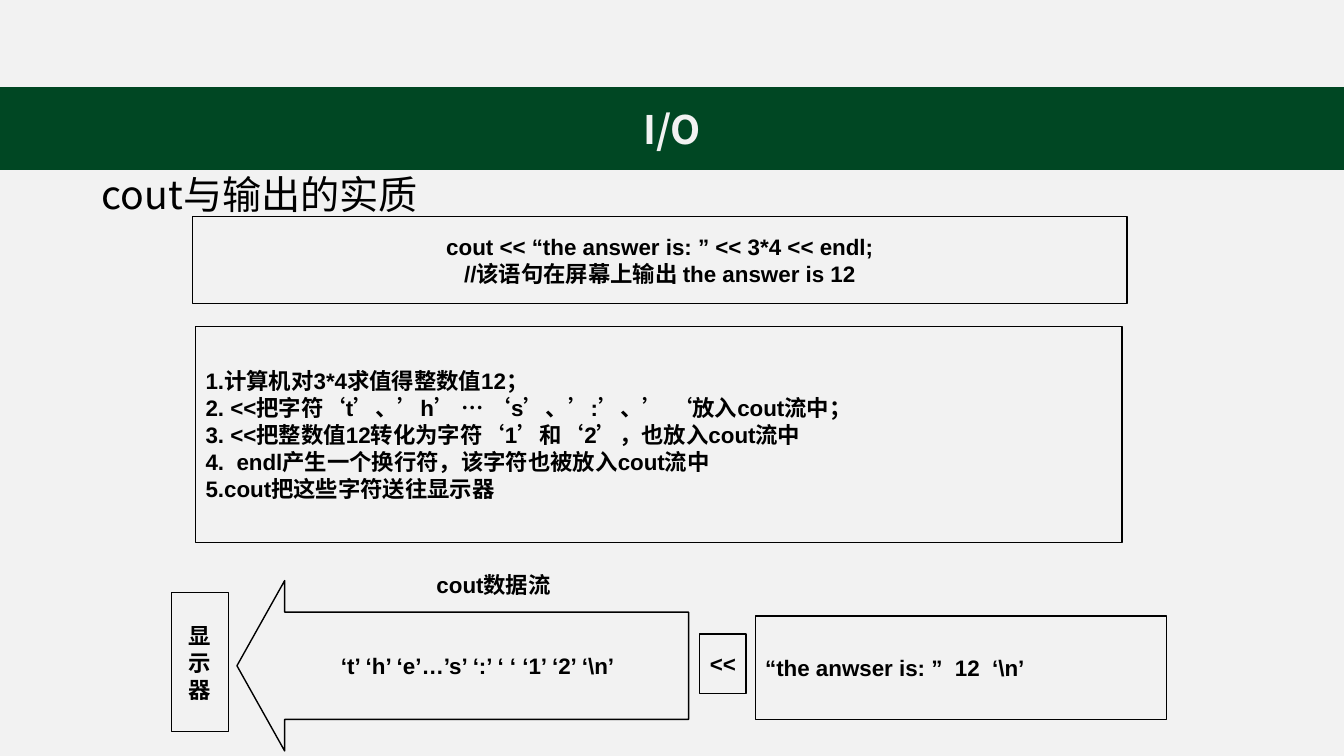
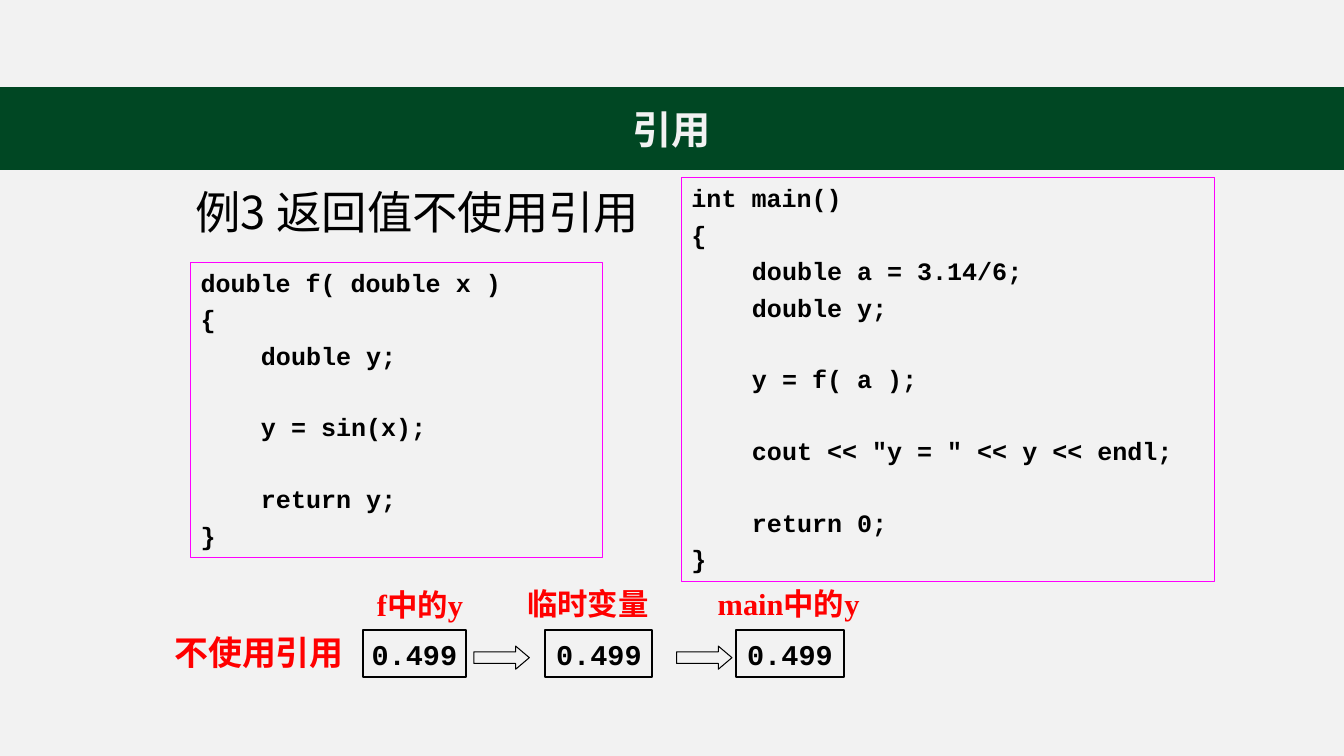
from lxml import etree
from pptx import Presentation
from pptx.dml.color import RGBColor
from pptx.enum.shapes import MSO_SHAPE
from pptx.enum.text import MSO_ANCHOR, MSO_AUTO_SIZE, PP_ALIGN
from pptx.oxml.ns import qn
from pptx.util import Inches, Pt

GREEN, PALE, BLACK, RED, MAGENTA = "004723", "F2F2F2", "000000", "FF0000", "FF00FF"
CJK, SANS, MONO, SERIF = "Noto Sans CJK SC", "Arial", "Courier New", "Times New Roman"
WIDTH, HEIGHT = 13.33, 7.5


def write(shape, text, size=16, font=SANS, color=BLACK, bold=True,
          align=PP_ALIGN.CENTER, anchor=MSO_ANCHOR.MIDDLE, wrap=False):
    """Fill a shape with one paragraph per line of text."""
    frame = shape.text_frame
    frame.auto_size = MSO_AUTO_SIZE.NONE
    frame.word_wrap = wrap
    frame.vertical_anchor = anchor
    frame.text = text
    for para in frame.paragraphs:
        para.alignment = align
        for span in para.runs:
            span.font.size = Pt(size)
            span.font.bold = bold
            span.font.color.rgb = RGBColor.from_string(color)
            span.font.name = font
            east_asian = etree.SubElement(span.font._element, qn("a:ea"))
            east_asian.set("typeface", CJK)


def add_box(page, place, line=BLACK, weight=1, kind=MSO_SHAPE.RECTANGLE, fill=None):
    box = page.shapes.add_shape(kind, *map(Inches, place))
    box.shadow.inherit = False
    if fill:
        box.fill.solid()
        box.fill.fore_color.rgb = RGBColor.from_string(fill)
    else:
        box.fill.background()
    box.line.color.rgb = RGBColor.from_string(line)
    box.line.width = Pt(weight)
    return box


deck = Presentation()
deck.slide_width, deck.slide_height = Inches(WIDTH), Inches(HEIGHT)
backdrop = deck.slide_master.background.fill
backdrop.solid()
backdrop.fore_color.rgb = RGBColor.from_string(PALE)

# Both slides: green band with the topic, heading below it
pages = []
for topic, heading, place, size in [
    ("I/O", "cout与输出的实质", (0.91, 1.23, 11.5, 1.45), 28),
    ("引用", "例3 返回值不使用引用", (1.84, 1.93, 4.92, 0.41), 32.4),
]:
    page = deck.slides.add_slide(deck.slide_layouts[5])
    title = page.shapes.title
    title.left, title.top, title.width, title.height = map(Inches, place)
    write(title, heading, size=size, font=CJK, bold=False, align=PP_ALIGN.LEFT, wrap=True)
    title.text_frame.paragraphs[0].line_spacing = 0.9
    band = add_box(page, (0, 0.87, WIDTH, 0.81), line=GREEN, fill=GREEN)
    write(band, topic, size=28, font=CJK, color=PALE)
    pages.append(page)
output_page, reference_page = pages

# Slide 1: how cout works
steps = """1.计算机对3*4求值得整数值12；
2. <<把字符‘t’、’h’ … ‘s’、’:’、’ ‘放入cout流中；
3. <<把整数值12转化为字符‘1’和‘2’，也放入cout流中
4.  endl产生一个换行符，该字符也被放入cout流中
5.cout把这些字符送往显示器"""
statement = "cout << “the answer is: ” << 3*4 << endl;\n//该语句在屏幕上输出 the answer is 12"
for text, place, align in [
    (statement, (1.91, 2.15, 9.27, 0.86), PP_ALIGN.CENTER),
    (steps, (1.94, 3.24, 9.19, 2.14), PP_ALIGN.LEFT),
    ("显\n示\n器", (1.7, 5.88, 0.57, 1.38), PP_ALIGN.CENTER),
    ("<<", (6.94, 6.29, 0.46, 0.59), PP_ALIGN.CENTER),
    ("“the anwser is: ”  12  ‘\\n’", (7.49, 6.11, 4.08, 1.03), PP_ALIGN.LEFT),
]:
    write(add_box(output_page, place), text, align=align)

stream = add_box(output_page, (2.35, 5.76, 4.48, 1.69), kind=MSO_SHAPE.LEFT_ARROW)
stream.adjustments[0], stream.adjustments[1] = 0.63, 0.28
write(stream, "‘t’ ‘h’ ‘e’…’s’ ‘:’ ‘ ‘ ‘1’ ‘2’ ‘\\n’")
stream_label = output_page.shapes.add_textbox(*map(Inches, (4, 5.52, 1.79, 0.56)))
write(stream_label, "cout数据流")

# Slide 2: code listings, as (indent level, line); a None entry is a gap
function_code = [(0, "double f( double x )"), (0, "{"), (1, "double y;"), None,
                 (1, "y = sin(x);"), None, (1, "return y;"), (0, "}")]
main_code = [(0, "int main()"), (0, "{"), (1, "double a = 3.14/6;"), (1, "double y;"), None,
             (1, "y = f( a );"), None, (1, 'cout << "y = " << y << endl;'), None,
             (1, "return 0;"), (0, "}")]
LINE_GAP, LINE_PITCH, INDENT = 4.7, 25, 0.6
for code, place in [(function_code, (1.89, 2.6, 4.09, 2.93)),
                    (main_code, (6.76, 1.76, 5.29, 4.01))]:
    listing = add_box(reference_page, place, line=MAGENTA, weight=0.75)
    lines = [entry for entry in code if entry]
    write(listing, "\n".join(text for _, text in lines), size=17.9, font=MONO,
          align=PP_ALIGN.LEFT, anchor=MSO_ANCHOR.TOP, wrap=True)
    paragraphs = iter(listing.text_frame.paragraphs)
    gap = LINE_GAP
    for entry in code:
        if entry is None:
            gap += LINE_PITCH
            continue
        para = next(paragraphs)
        para.space_before = Pt(gap)
        para._p.get_or_add_pPr().set("marL", str(Inches(INDENT * entry[0])))
        gap = LINE_GAP

# Slide 2: the value passes through a temporary variable
for left, width in [(3.6, 1.02), (5.41, 1.06), (7.3, 1.07)]:
    value = add_box(reference_page, (left, 6.25, width, 0.47), weight=1.5)
    write(value, "0.499", size=20.4, font=MONO)
for left in (4.7, 6.71):
    arrow = add_box(reference_page, (left, 6.41, 0.55, 0.23), weight=0.75,
                    kind=MSO_SHAPE.RIGHT_ARROW)
    arrow.adjustments[1] = 0.59
for text, place, size in [
    ("不使用引用", (1.63, 6.22, 1.73, 0.5), 24.2),
    ("f中的y", (3.64, 5.83, 1.02, 0.34), 21.7),
    ("临时变量", (5.13, 5.78, 1.57, 0.42), 21.7),
    ("main中的y", (7.02, 5.78, 1.57, 0.42), 21.7),
]:
    label = reference_page.shapes.add_textbox(*map(Inches, place))
    write(label, text, size=size, font=SERIF, color=RED, align=PP_ALIGN.LEFT)

deck.save("out.pptx")
